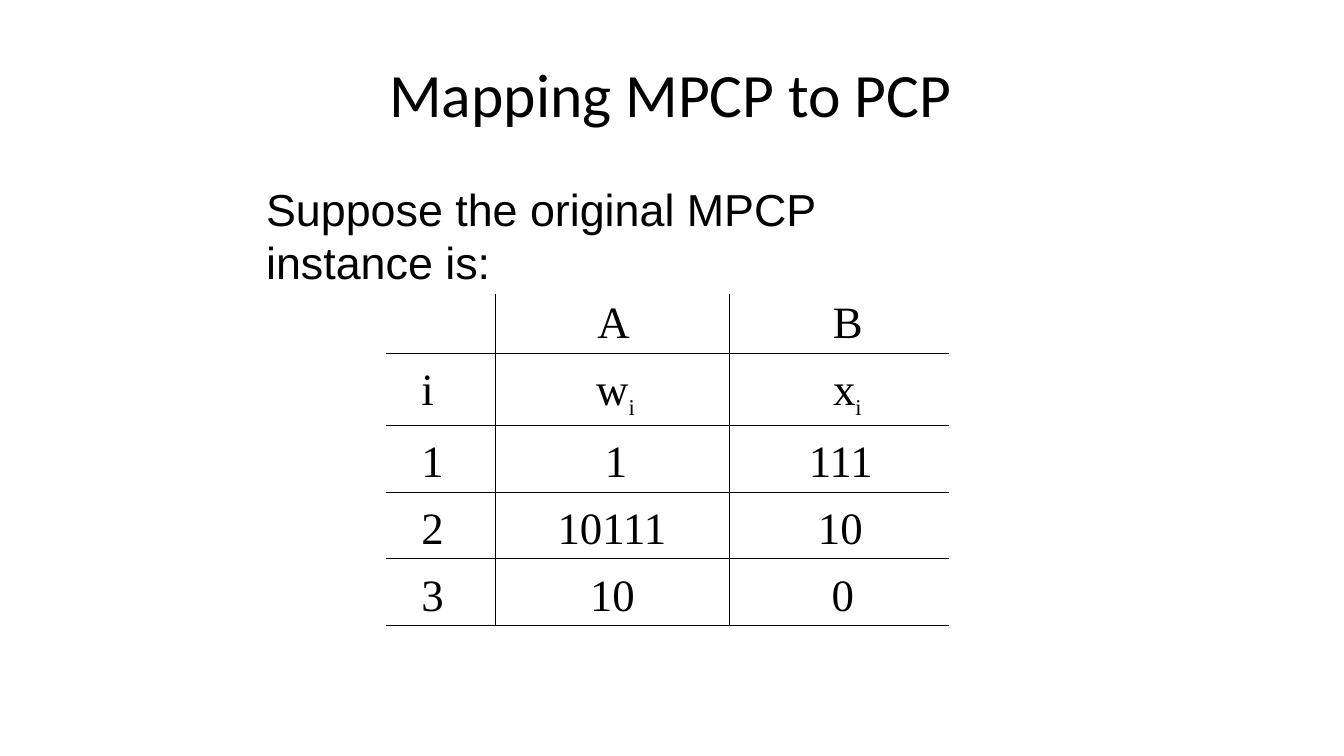
from lxml.etree import SubElement
from pptx import Presentation
from pptx.dml.color import RGBColor
from pptx.enum.text import MSO_ANCHOR as Anchor, PP_ALIGN as Align
from pptx.oxml.ns import qn
from pptx.util import Inches, Pt

COLORS = {"ink": "000000"}
LEFT, CENTER = Align.LEFT, Align.CENTER
COLUMNS = [1.08, 2.33, 2.17]
HEIGHTS = [0.5, 0.58, 0.58, 0.58, 0.58]
ROWS = [
    [None, ("A", CENTER, 0.02), ("B", CENTER, 0.17)],
    [("i", LEFT, 0.35), ("w_i", CENTER, 0.06), ("x_i", CENTER, 0.16)],
    [("1", LEFT, 0.35), ("1", CENTER, 0.07), ("111", CENTER, 0.03)],
    [("2", LEFT, 0.35), ("10111", LEFT, 0.62), ("10", CENTER, 0.02)],
    [("3", LEFT, 0.35), ("10", CENTER, 0), ("0", CENTER, 0.07)],
]


class SlideBuilder:
    """Holds the text style and current page, and adds each kind of element."""

    def __init__(self, page):
        self.page = page
        self.ink = RGBColor.from_string(COLORS["ink"])

    def span(self, para, text, size, font, baseline=None):
        span = para.add_run()
        span.text = text
        span.font.size = Pt(size)
        span.font.name = font
        span.font.color.rgb = self.ink
        if baseline:
            span.font._element.set("baseline", str(baseline))

    def indent(self, para, align, left):
        para.alignment = align
        properties = para._p.get_or_add_pPr()
        properties.set("marL", str(Inches(left)))
        properties.set("indent", "0")

    def fill_box(self, box, place, text, size, font, wrap, anchor):
        box.left, box.top, box.width, box.height = map(Inches, place)
        frame = box.text_frame
        frame.word_wrap = wrap
        frame.vertical_anchor = anchor
        frame.margin_left = frame.margin_right = frame.margin_bottom = 0
        frame.margin_top = Inches(0.01)
        para = frame.paragraphs[0]
        self.indent(para, LEFT, 0.01)
        self.span(para, text, size, font)

    def title(self, place, text):
        self.fill_box(self.page.shapes.title, place, text, 44, "Calibri", False, Anchor.MIDDLE)

    def text(self, place, text):
        box = self.page.shapes.add_textbox(*map(Inches, place))
        self.fill_box(box, place, text, 32, "Arial", True, Anchor.TOP)

    def border(self, cell, sides):
        properties = cell._tc.get_or_add_tcPr()
        for side in sides:
            line = SubElement(properties, qn(f"a:ln{side}"), w=str(Pt(0.75)))
            fill = SubElement(line, qn("a:solidFill"))
            SubElement(fill, qn("a:srgbClr"), val=COLORS["ink"])

    def cell(self, cell, content, top_margin):
        cell.margin_left = cell.margin_right = cell.margin_bottom = 0
        cell.margin_top = Inches(top_margin)
        if content:
            text, align, left = content
            para = cell.text_frame.paragraphs[0]
            self.indent(para, align, left)
            para.line_spacing = 1.09
            base, _, subscript = text.partition("_")
            self.span(para, base, 32, "Times New Roman")
            if subscript:
                self.span(para, subscript, 27.8, "Times New Roman", -25000)

    def table(self, left, top, rows):
        size = map(Inches, (left, top, sum(COLUMNS), sum(HEIGHTS)))
        table = self.page.shapes.add_table(len(rows), len(COLUMNS), *size).table
        table.first_row = table.horz_banding = False
        for column, width in zip(table.columns, COLUMNS):
            column.width = Inches(width)
        for r, contents in enumerate(rows):
            table.rows[r].height = Inches(HEIGHTS[r])
            for c, content in enumerate(contents):
                cell = table.cell(r, c)
                self.cell(cell, content, 0.08 if r else 0)
                shown = {"L": c > 0, "R": c < len(COLUMNS) - 1, "T": r > 0, "B": True}
                self.border(cell, [side for side in shown if shown[side]])
                cell.fill.background()


def main():
    deck = Presentation()
    deck.slide_width, deck.slide_height = Inches(13.33), Inches(7.5)
    builder = SlideBuilder(deck.slides.add_slide(deck.slide_layouts[5]))
    builder.title((3.85, 0.54, 5.62, 0.76), "Mapping MPCP to PCP")
    builder.text((2.63, 1.79, 7, 0.56), "Suppose the original MPCP instance is:")
    builder.table(3.83, 2.92, ROWS)
    deck.save("out.pptx")


if __name__ == "__main__":
    main()
